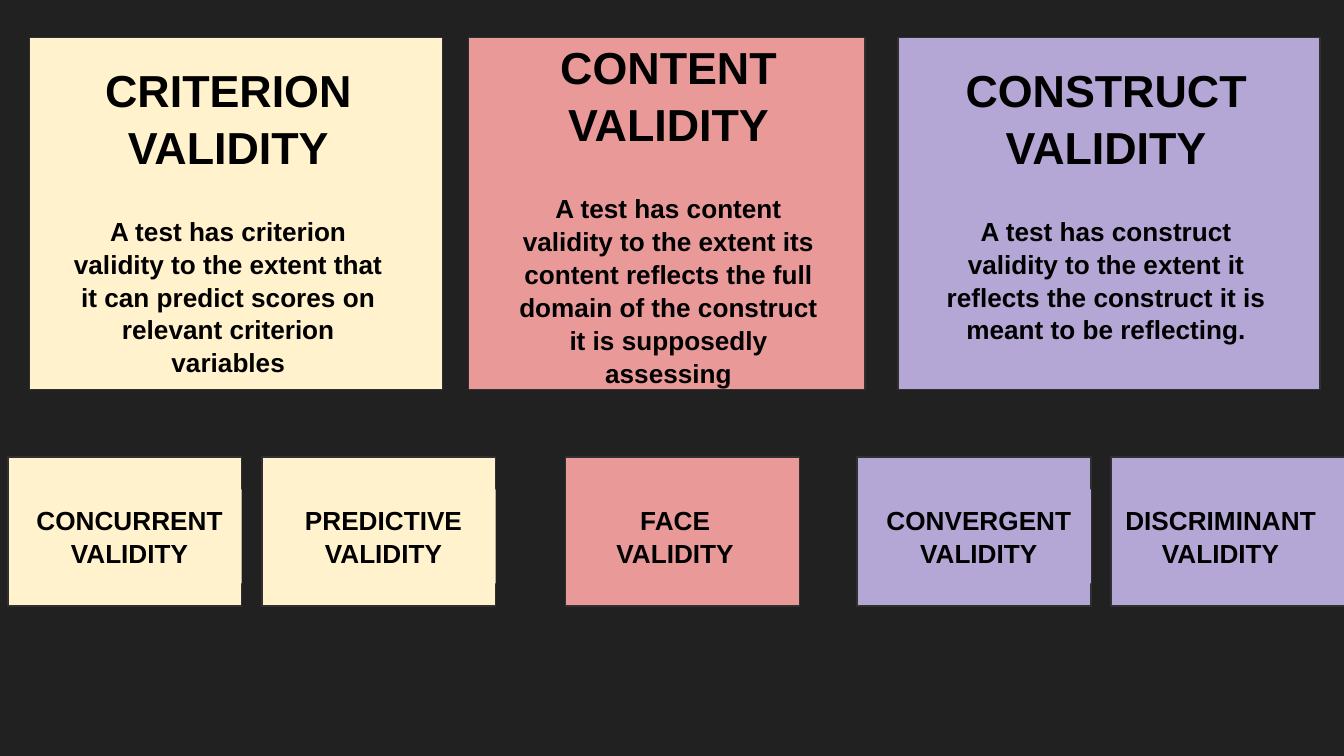
from pptx import Presentation
from pptx.dml.color import RGBColor
from pptx.enum.shapes import MSO_SHAPE
from pptx.enum.text import MSO_ANCHOR, PP_ALIGN
from pptx.util import Cm, Pt

RECTANGLE = MSO_SHAPE.RECTANGLE
TOP = MSO_ANCHOR.TOP
CENTER = PP_ALIGN.CENTER

BACKGROUND = RGBColor(0x21, 0x21, 0x21)
OUTLINE = RGBColor(0x30, 0x30, 0x30)
BLACK = RGBColor(0x00, 0x00, 0x00)
CREAM = RGBColor(0xFF, 0xF2, 0xCC)
PINK = RGBColor(0xEA, 0x99, 0x99)
LILAC = RGBColor(0xB4, 0xA7, 0xD6)

CARD_TOP, CARD_HEIGHT = 0.71, 6.65
BOX_TOP, BOX_WIDTH, BOX_HEIGHT = 8.64, 4.42, 2.82
LABEL_TOP, LABEL_WIDTH, LABEL_HEIGHT = 9.25, 4.24, 1.78
PAIR_PITCH = 4.8
PATCH_OFFSET, TEXT_OFFSET = 0.18, -0.05

CARDS = [
    (CREAM, 0.56, 7.8),
    (PINK, 8.86, 7.49),
    (LILAC, 16.97, 7.98),
]

DEFINITIONS = [
    ("CRITERION", "A test has criterion validity to the extent that it can "
     "predict scores on relevant criterion variables", 1.04, 0.89, 6.55, 2.11),
    ("CONTENT", "A test has content validity to the extent its content reflects "
     "the full domain of the construct it is supposedly assessing",
     9.55, 0.46, 6.17, 5.64),
    ("CONSTRUCT", "A test has construct validity to the extent it reflects the "
     "construct it is meant to be reflecting.", 17.63, 0.89, 6.55, 6.27),
]

SUBTYPES = [
    ("CONCURRENT", CREAM, 0.15, True),
    ("PREDICTIVE", CREAM, 0.15 + PAIR_PITCH, True),
    ("FACE", PINK, 10.69, False),
    ("CONVERGENT", LILAC, 16.2, True),
    ("DISCRIMINANT", LILAC, 16.2 + PAIR_PITCH, False),
]


class ValiditySlide:
    font_name = "Arial"
    heading_size = Pt(24)
    body_size = Pt(14)
    line_spacing = 1.05
    body_gap = Pt(21.7)
    inset = Cm(0.25)

    def __init__(self, presentation):
        self.slide = presentation.slides.add_slide(presentation.slide_layouts[6])
        fill = self.slide.background.fill
        fill.solid()
        fill.fore_color.rgb = BACKGROUND

    def rectangle(self, color, left, top, width, height, outlined=True):
        shape = self.slide.shapes.add_shape(
            RECTANGLE, Cm(left), Cm(top), Cm(width), Cm(height))
        shape.shadow.inherit = False
        shape.fill.solid()
        shape.fill.fore_color.rgb = color
        if outlined:
            shape.line.color.rgb = OUTLINE
            shape.line.width = Pt(0.75)
        else:
            shape.line.fill.background()
        return shape

    def text_box(self, left, top, width, height):
        return self.slide.shapes.add_textbox(
            Cm(left), Cm(top), Cm(width), Cm(height))

    def set_lines(self, shape, lines, sizes):
        frame = shape.text_frame
        frame.word_wrap = True
        frame.vertical_anchor = TOP
        frame.margin_left = frame.margin_right = self.inset
        frame.margin_top = frame.margin_bottom = self.inset
        frame.text = "\n".join(lines)
        for paragraph, size in zip(frame.paragraphs, sizes):
            paragraph.alignment = CENTER
            paragraph.line_spacing = self.line_spacing
            for run in paragraph.runs:
                run.font.name = self.font_name
                run.font.size = size
                run.font.bold = True
                run.font.color.rgb = BLACK

    def definition(self, name, body, left, top, width, height):
        shape = self.text_box(left, top, width, height)
        sizes = [self.heading_size, self.heading_size, self.body_size]
        self.set_lines(shape, [name, "VALIDITY", body], sizes)
        shape.text_frame.paragraphs[2].space_before = self.body_gap

    def subtype(self, name, color, left, patched):
        self.rectangle(color, left, BOX_TOP, BOX_WIDTH, BOX_HEIGHT)
        area = (LABEL_TOP, LABEL_WIDTH, LABEL_HEIGHT)
        if patched:
            shape = self.rectangle(color, left + PATCH_OFFSET, *area, outlined=False)
        else:
            shape = self.text_box(left + TEXT_OFFSET, *area)
        self.set_lines(shape, [name, "VALIDITY"], [self.body_size] * 2)


def main():
    presentation = Presentation()
    presentation.slide_width = Cm(25.4)
    presentation.slide_height = Cm(14.29)
    slide = ValiditySlide(presentation)
    for color, left, width in CARDS:
        slide.rectangle(color, left, CARD_TOP, width, CARD_HEIGHT)
    for definition in DEFINITIONS:
        slide.definition(*definition)
    for subtype in SUBTYPES:
        slide.subtype(*subtype)
    presentation.save("out.pptx")


if __name__ == "__main__":
    main()
